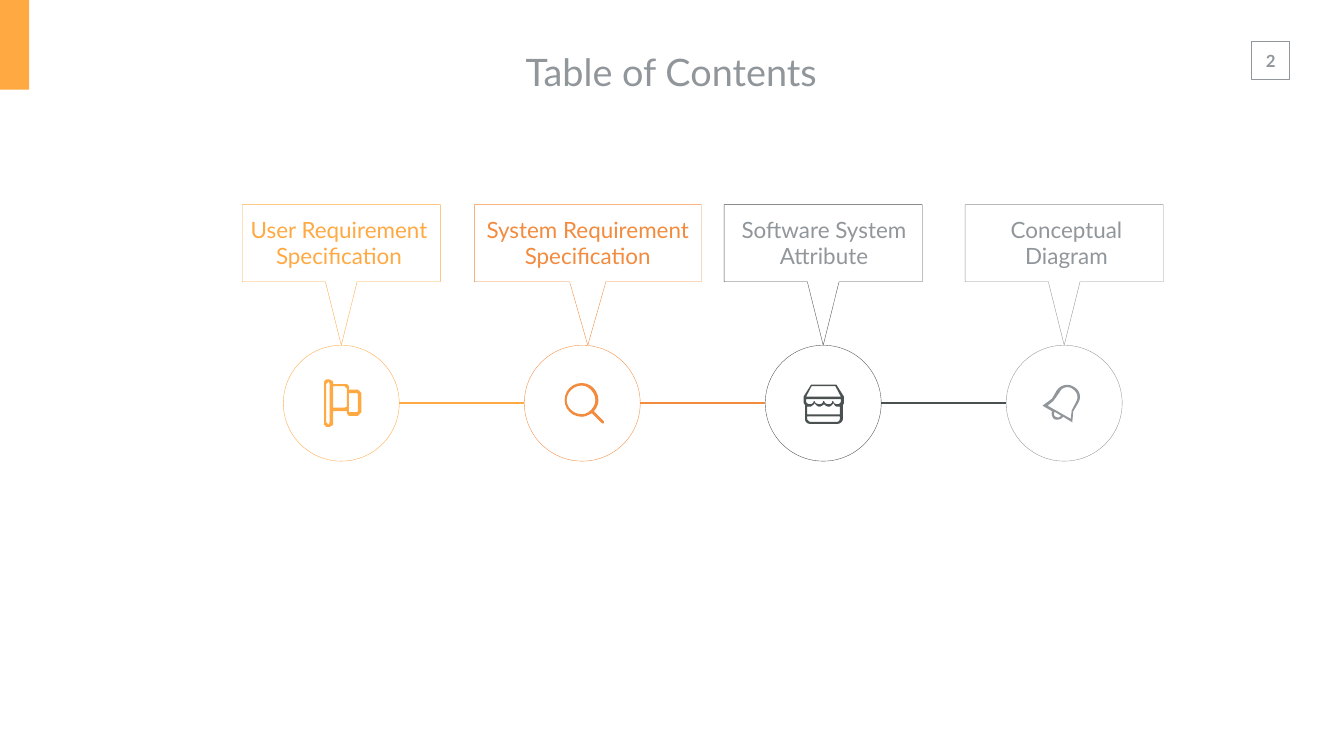
from dataclasses import dataclass

from lxml import etree
from pptx import Presentation
from pptx import util as u
from pptx.dml import color
from pptx.enum import shapes, text
from pptx.oxml import ns

EMU_PER_PX = 9144  # 100 px to the inch
FONT = "Lato"
COLORS = {"amber": "FFA943", "orange": "F28B3E", "dark": "4B5050",
          "gray": "91969B", "white": "FFFFFF"}

# Timeline geometry
FIRST_CENTER, STEP, AXIS_Y, RADIUS = 677, 478, 800, 115
CALLOUT_TOP, CALLOUT_BOTTOM = 406, 559
POINTER_RATIO = 0.08  # half of the pointer's base, as a share of the callout width

# An icon is a list of contours; a pair is a corner, a sextet a Bezier curve.
Contour = list[tuple[float, ...]]

FLAG: list[Contour] = [
    [(67, 20), (49, 20), (49, 13), (45, 9), (18, 9), (18, 4), (11, 0), (4, 0),
     (0, 4), (0, 90), (4, 94), (11, 94), (18, 90), (18, 63), (45, 63), (45, 67),
     (49, 72), (67, 72), (74, 65), (74, 27)],
    [(11, 85), (9, 90), (4, 85), (4, 9), (9, 4), (11, 9)],
    [(45, 54), (40, 56), (18, 56), (18, 13), (40, 13), (45, 18)],
    [(67, 63), (65, 65), (49, 65), (49, 27), (65, 27), (67, 29)],
]
MAGNIFIER: list[Contour] = [
    [(78, 76), (58, 56), (63, 50, 67, 43, 67, 34), (67, 15, 52, 0, 34, 0),
     (15, 0, 0, 15, 0, 34), (0, 52, 15, 67, 34, 67), (41, 67, 48, 63, 54, 60),
     (74, 80), (78, 80)],
    [(34, 62), (17, 62, 4, 48, 4, 34), (4, 19, 17, 5, 34, 5),
     (48, 5, 61, 19, 61, 34), (61, 48, 48, 62, 34, 62)],
]
SHOP: list[Contour] = [
    [(65, 0), (15, 0), (0, 24), (0, 33), (0, 37, 1, 39, 3, 40), (3, 68),
     (3, 74, 7, 78, 13, 78), (67, 78), (72, 78, 78, 74, 78, 68), (78, 40),
     (80, 39, 80, 37, 80, 33), (80, 24)],
    [(72, 68), (72, 70, 70, 74, 67, 74), (13, 74), (11, 74, 7, 70, 7, 68),
     (7, 63), (72, 63)],
    [(72, 59), (7, 59), (7, 44), (13, 44), (15, 44, 20, 40, 22, 37),
     (24, 40, 28, 44, 31, 44), (35, 44, 39, 40, 41, 39), (41, 40, 46, 44, 50, 44),
     (54, 44, 57, 40, 59, 37), (61, 40, 63, 44, 67, 44), (72, 44)],
    [(74, 33), (74, 37, 70, 39, 67, 39), (63, 39, 59, 37, 59, 33), (57, 33),
     (57, 37, 54, 39, 50, 39), (46, 39, 41, 37, 41, 33), (39, 33),
     (39, 37, 35, 39, 31, 39), (28, 39, 22, 37, 22, 33), (20, 33),
     (20, 37, 16, 39, 13, 39), (9, 39, 5, 37, 5, 33), (5, 29), (74, 29)],
    [(5, 24), (16, 3), (63, 3), (74, 24)],
]
BELL: list[Contour] = [
    [(61, 7), (50, 0, 35, 4, 28, 15), (19, 31), (0, 45), (19, 56),
     (17, 61, 19, 69, 24, 72), (30, 74, 37, 72, 41, 67), (59, 78), (61, 56),
     (71, 39), (78, 28, 74, 13, 61, 7)],
    [(26, 67), (22, 65, 22, 61, 24, 57), (37, 65), (34, 69, 30, 69, 26, 67)],
    [(67, 37), (58, 54), (56, 71), (10, 45), (22, 35), (34, 18),
     (37, 9, 50, 5, 59, 11), (69, 17, 72, 28, 67, 37)],
]


@dataclass(frozen=True)
class Stop:
    label: str
    color: str
    text_color: str
    icon: list[Contour]
    icon_left: int  # from the circle's centre
    icon_top: int
    text_left: int
    text_width: int = 395
    callout_width: int = 393
    callout_shift: int = 0


STOPS = [
    Stop("User Requirement Specification", "amber", "amber", FLAG, -34, 753, 475),
    Stop("System Requirement Specification", "orange", "orange", MAGNIFIER, -35, 760, 923,
         text_width=486, callout_width=450, callout_shift=11),
    Stop("Software System Attribute", "dark", "gray", SHOP, -39, 763, 1437),
    Stop("Conceptual Diagram", "gray", "gray", BELL, -43, 760, 1918),
]


def px(value: float) -> u.Emu:
    return u.Emu(round(value * EMU_PER_PX))


def rgb(name: str) -> color.RGBColor:
    return color.RGBColor.from_string(COLORS[name])


def style(shape, *, fill: str | None = None, line: str | None = None,
          line_points: float = 0.5) -> None:
    shape.shadow.inherit = False
    if fill:
        shape.fill.solid()
        shape.fill.fore_color.rgb = rgb(fill)
    else:
        shape.fill.background()
    if line:
        shape.line.color.rgb = rgb(line)
        shape.line.width = u.Pt(line_points)
    else:
        shape.line.fill.background()


def add_preset(slide, kind, left: int, top: int, width: int, height: int, **look) -> None:
    shape = slide.shapes.add_shape(kind, px(left), px(top), px(width), px(height))
    style(shape, **look)


def write(shape, content: str, *, size: int, ink: str, bold: bool = False, wrap: bool = True,
          anchor=text.MSO_ANCHOR.TOP, inset: tuple[int, int] = (10, 5)) -> None:
    frame = shape.text_frame
    frame.word_wrap = wrap
    frame.auto_size = text.MSO_AUTO_SIZE.NONE
    frame.vertical_anchor = anchor
    frame.margin_left = frame.margin_right = px(inset[0])
    frame.margin_top = frame.margin_bottom = px(inset[1])
    paragraph = frame.paragraphs[0]
    paragraph.alignment = text.PP_ALIGN.CENTER
    run = paragraph.add_run()
    run.text = content
    run.font.name, run.font.size, run.font.bold = FONT, u.Pt(size), bold
    run.font.color.rgb = rgb(ink)


def add_text(slide, left: int, top: int, width: int, height: int, content: str, **look) -> None:
    write(slide.shapes.add_textbox(px(left), px(top), px(width), px(height)), content, **look)


def flatten(contour: Contour, steps: int = 6) -> list[tuple[float, ...]]:
    """Turn corners and Bezier curves into a run of points."""
    points: list[tuple[float, ...]] = []
    for part in contour:
        if len(part) == 2:
            points.append(part)
            continue
        start = points[-1]
        for step in range(1, steps + 1):
            t = step / steps
            s = 1 - t
            points.append(tuple(
                s**3 * start[k] + 3 * s * s * t * part[k] + 3 * s * t * t * part[k + 2]
                + t**3 * part[k + 4] for k in (0, 1)))
    return points


def add_outline(slide, contours: list[Contour], left: float, top: int, **look) -> None:
    builder = None
    for contour in contours:
        points = [(px(left + x), px(top + y)) for x, y in flatten(contour)]
        if builder is None:
            builder = slide.shapes.build_freeform(*points[0], scale=1.0)
        else:
            builder.move_to(*points[0])
        builder.add_line_segments(points[1:], close=True)
    style(builder.convert_to_shape(), **look)


def add_link(slide, start: int, end: int, ink: str) -> None:
    link = slide.shapes.add_connector(shapes.MSO_CONNECTOR.STRAIGHT,
                                      px(start), px(AXIS_Y), px(end), px(AXIS_Y))
    link.line.color.rgb = rgb(ink)
    link.line.width = u.Pt(3)
    etree.SubElement(link._element.spPr, ns.qn("a:effectLst"))


def add_stop(slide, stop: Stop, center: int) -> None:
    add_preset(slide, shapes.MSO_SHAPE.OVAL, center - RADIUS, AXIS_Y - RADIUS,
               2 * RADIUS, 2 * RADIUS, fill="white", line=stop.color)
    # Callout with its pointer on the circle's top
    width, tip = stop.callout_width, stop.callout_width / 2
    base, height = width * POINTER_RATIO, CALLOUT_BOTTOM - CALLOUT_TOP
    callout = [(0, 0), (width, 0), (width, height), (tip + base, height),
               (tip, AXIS_Y - RADIUS - CALLOUT_TOP), (tip - base, height), (0, height)]
    add_outline(slide, [callout], center + stop.callout_shift - tip, CALLOUT_TOP, line=stop.color)
    add_outline(slide, stop.icon, center + stop.icon_left, stop.icon_top, fill=stop.color)
    add_text(slide, stop.text_left, 423, stop.text_width, 118, stop.label,
             size=32, ink=stop.text_color)


def main() -> None:
    presentation = Presentation()
    presentation.slide_width, presentation.slide_height = px(2666), px(1500)
    slide = presentation.slides.add_slide(presentation.slide_layouts[5])

    # Page number and corner mark
    add_text(slide, 2480, 90, 81, 61, "2", size=24, ink="gray", bold=True, wrap=False,
             inset=(20, 10))
    add_preset(slide, shapes.MSO_SHAPE.RECTANGLE, 2483, 82, 75, 75, line="gray", line_points=1)
    add_preset(slide, shapes.MSO_SHAPE.RECTANGLE, 0, 0, 58, 178, fill="amber")

    # Title
    title = slide.shapes.title
    title.left, title.top, title.width, title.height = px(815), px(83), px(1033), px(118)
    write(title, "Table of Contents", size=54, ink="gray", anchor=text.MSO_ANCHOR.MIDDLE,
          inset=(27, 13))

    # Timeline
    for index, stop in enumerate(STOPS):
        center = FIRST_CENTER + index * STEP
        add_stop(slide, stop, center)
        if index < len(STOPS) - 1:
            add_link(slide, center + RADIUS, center + STEP - RADIUS, stop.color)

    presentation.save("out.pptx")


if __name__ == "__main__":
    main()
